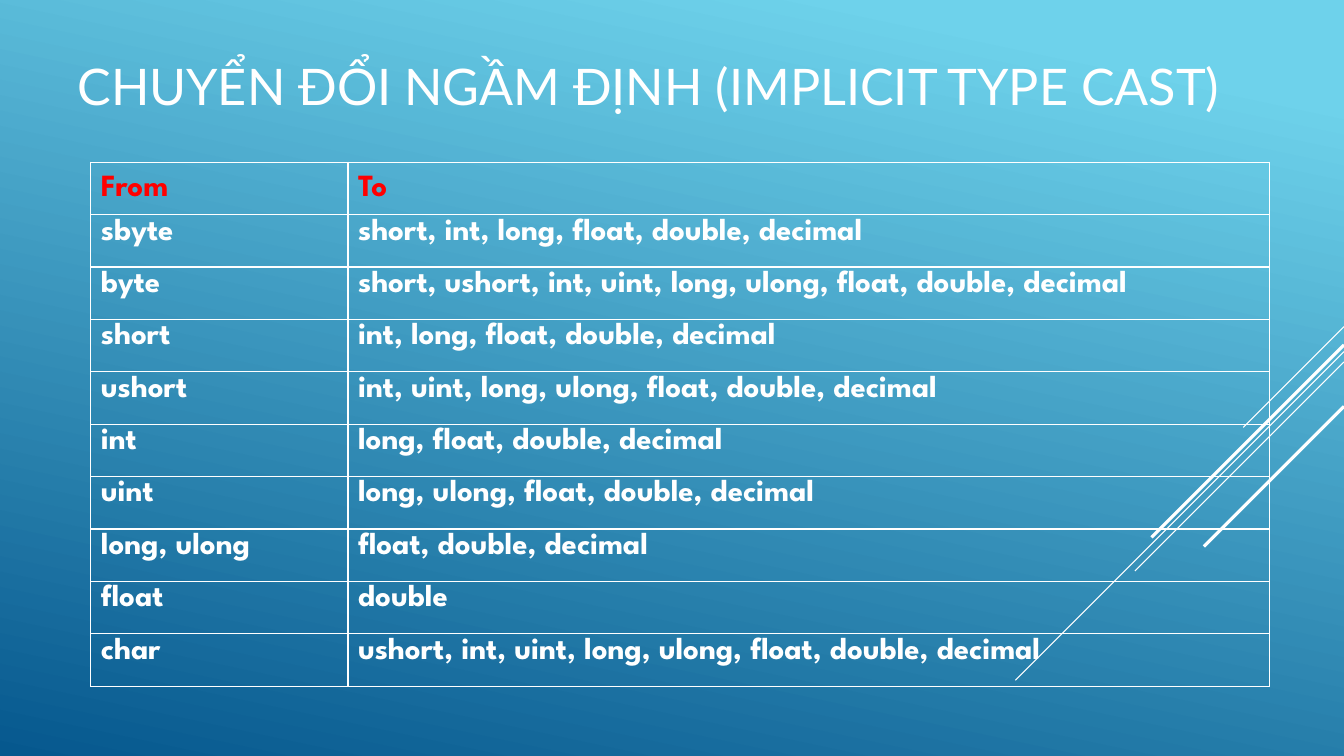
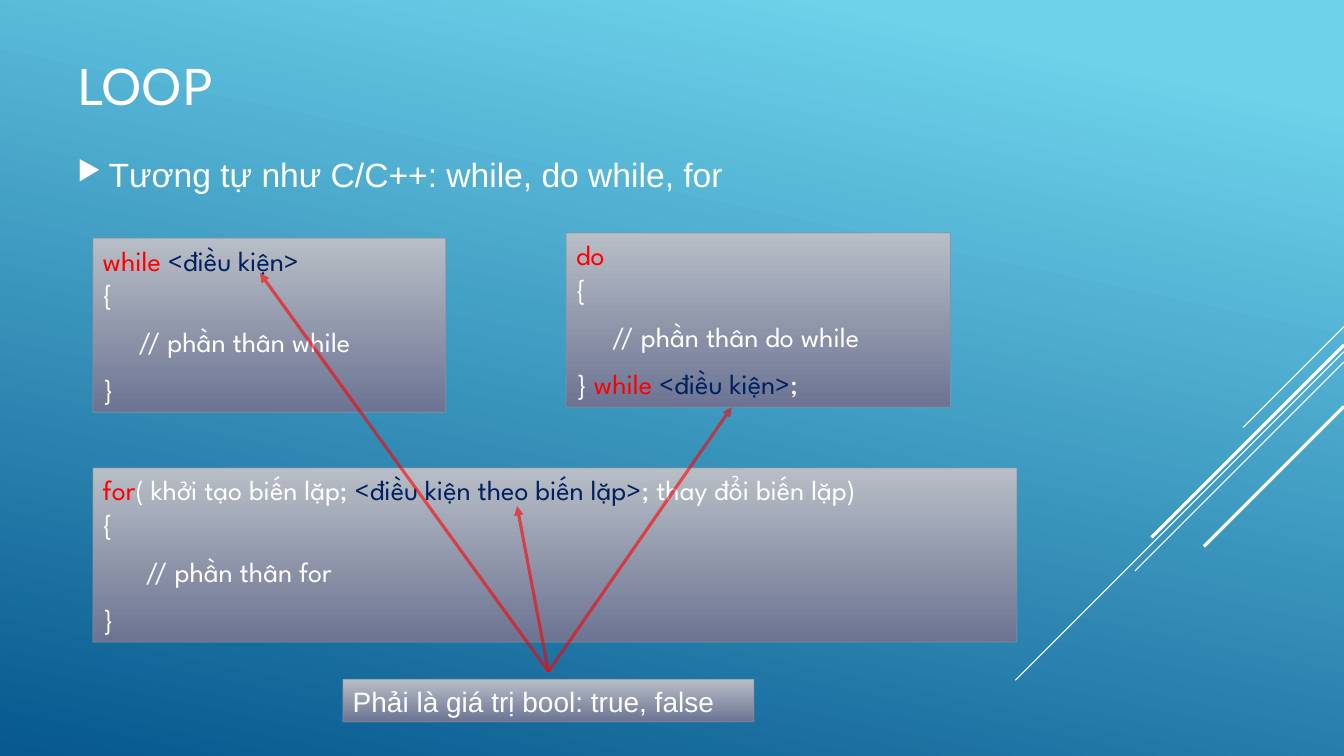
from typing import NamedTuple

from lxml.etree import SubElement
from pptx import Presentation
from pptx.dml.color import RGBColor
from pptx.enum.shapes import MSO_CONNECTOR, MSO_SHAPE
from pptx.enum.text import MSO_ANCHOR as Anchor, MSO_AUTO_SIZE as AutoSize
from pptx.oxml.ns import qn
from pptx.util import Cm, Pt

# Colours and fonts
SKY = RGBColor(0x6E, 0xD2, 0xEB)
DEEP_BLUE = RGBColor(0x06, 0x58, 0x8E)
WHITE = RGBColor(0xFF, 0xFF, 0xFF)
RED = RGBColor(0xFF, 0x00, 0x00)
NAVY = RGBColor(0x00, 0x20, 0x60)
BOX_TOP = RGBColor(0xB8, 0xBE, 0xC6)
BOX_BOTTOM = RGBColor(0x6C, 0x74, 0x93)
BOX_EDGE = RGBColor(0x89, 0x91, 0x9C)
TITLE_FONT, TEXT_FONT, CODE_FONT = "Lato", "Arial", "League Spartan"

PAGE_WIDTH, PAGE_HEIGHT = 33.87, 19.05
BREAK = "\n"


class Streak(NamedTuple):
    """A diagonal from the right edge, falling to the left at 45 degrees."""
    top: float
    reach: float
    weight: float


class Span(NamedTuple):
    text: str
    color: RGBColor = WHITE


class Line(NamedTuple):
    spans: list[Span]
    indent: float = 0


class Panel(NamedTuple):
    left: float
    top: float
    width: float
    height: float
    lines: list[Line]
    font: str = CODE_FONT


STREAKS = [
    Streak(8.23, 2.54, 0.75),
    Streak(8.86, 8.28, 0.75),
    Streak(9.12, 5.27, 0.75),
    Streak(8.69, 4.85, 2.25),
    Streak(10.24, 3.53, 2.25),
]

CASTS = [
    ("From", "To"),
    ("sbyte", "short, int, long, float, double, decimal"),
    ("byte", "short, ushort, int, uint, long, ulong, float, double, decimal"),
    ("short", "int, long, float, double, decimal"),
    ("ushort", "int, uint, long, ulong, float, double, decimal"),
    ("int", "long, float, double, decimal"),
    ("uint", "long, ulong, float, double, decimal"),
    ("long, ulong", "float, double, decimal"),
    ("float", "double"),
    ("char", "ushort, int, uint, long, ulong, float, double, decimal"),
]
CAST_COLUMNS = (6.48, 23.22)
CAST_ROW = 1.32

CLOSE = Line([Span("}")])
PANELS = [
    Panel(2.34, 6, 8.89, 4.39, [
        Line([Span("while ", RED), Span("<điều kiện>", NAVY), Span(BREAK), Span("{")]),
        Line([Span("// phần thân while")], 0.9),
        CLOSE,
    ]),
    Panel(14.27, 5.87, 9.68, 4.39, [
        Line([Span("do ", RED), Span(BREAK), Span("{")]),
        Line([Span("// phần thân do while")], 0.9),
        Line([Span("} "), Span("while ", RED), Span("<điều kiện>", NAVY), Span(";")]),
    ]),
    Panel(2.34, 11.79, 23.29, 4.39, [
        Line([Span("for", RED), Span("( khởi tạo biến lặp; "),
              Span("<điều kiện theo biến lặp>", NAVY),
              Span("; thay đổi biến lặp)"), Span(BREAK), Span("{")]),
        Line([Span("// phần thân for")], 1.08),
        CLOSE,
    ]),
    Panel(8.64, 17.12, 10.36, 1.07,
          [Line([Span("Phải là giá trị bool: true, false")])], TEXT_FONT),
]
ARROW_START = (13.82, 16.92)
ARROW_TARGETS = [(6.55, 6.88), (18.44, 10.26), (13.03, 12.75)]


# Shared drawing helpers
def set_gradient(fill, first: RGBColor, last: RGBColor, clockwise: int,
                 start: float = 0) -> None:
    fill.gradient()
    fill.gradient_angle = 360 - clockwise
    for stop, color, position in zip(fill.gradient_stops, (first, last), (start, 1)):
        stop.color.rgb = color
        stop.position = position


def set_font(para, name: str, size: float, color: RGBColor = WHITE,
             bold: bool = False) -> None:
    font = para.font
    font.name, font.size, font.bold = name, Pt(size), bold
    font.color.rgb = color


def set_indent(para, left: float, first: float = 0) -> None:
    props = para._p.get_or_add_pPr()
    props.set("marL", str(Cm(left)))
    props.set("indent", str(Cm(first)))


def set_line(shape, color: RGBColor, weight: float, opacity: int = 100):
    shape.line.color.rgb = color
    shape.line.width = Pt(weight)
    outline = shape._element.spPr.find(qn("a:ln"))
    if opacity < 100:
        paint = outline.find(".//" + qn("a:srgbClr"))
        SubElement(paint, qn("a:alpha"), val=str(opacity * 1000))
    return outline


def add_line(page, start: tuple[float, float], end: tuple[float, float],
             color: RGBColor, weight: float, opacity: int = 100,
             arrow: bool = False) -> None:
    line = page.shapes.add_connector(
        MSO_CONNECTOR.STRAIGHT, *map(Cm, start), *map(Cm, end))
    outline = set_line(line, color, weight, opacity)
    if arrow:
        SubElement(outline, qn("a:tailEnd"), type="triangle")
    SubElement(line._element.spPr, qn("a:effectLst"))


def add_text(page, left: float, top: float, width: float, height: float, text: str):
    box = page.shapes.add_textbox(Cm(left), Cm(top), Cm(width), Cm(height))
    frame = box.text_frame
    frame.word_wrap = True
    frame.vertical_anchor = Anchor.MIDDLE
    para = frame.paragraphs[0]
    para.text = text
    return para


def add_page(deck, title: str):
    page = deck.slides.add_slide(deck.slide_layouts[6])
    for streak in STREAKS:
        add_line(page, (PAGE_WIDTH, streak.top),
                 (PAGE_WIDTH - streak.reach, streak.top + streak.reach),
                 WHITE, streak.weight)
    set_font(add_text(page, 1.7, 0.74, 30, 2.82, title), TITLE_FONT, 36)
    return page


# Parts of single pages
def fill_cell(cell, text: str, header: bool) -> None:
    props = cell._tc.get_or_add_tcPr()
    for side in ("lnL", "lnR", "lnT", "lnB"):
        border = SubElement(props, qn(f"a:{side}"), w=str(Pt(1)))
        paint = SubElement(border, qn("a:solidFill"))
        SubElement(paint, qn("a:srgbClr"), val=str(WHITE))
    cell.fill.background()
    cell.vertical_anchor = Anchor.MIDDLE if header else Anchor.TOP
    para = cell.text_frame.paragraphs[0]
    para.text = text
    para.line_spacing = 0.9
    set_indent(para, 1.3, -1.3)
    set_font(para, CODE_FONT, 22, RED if header else WHITE, bold=True)


def add_cast_table(page) -> None:
    table = page.shapes.add_table(
        len(CASTS), len(CAST_COLUMNS), Cm(2.29), Cm(4.09),
        Cm(sum(CAST_COLUMNS)), Cm(CAST_ROW * len(CASTS))).table
    table.first_row = table.horz_banding = False
    for column, width in zip(table.columns, CAST_COLUMNS):
        column.width = Cm(width)
    for row_index, texts in enumerate(CASTS):
        table.rows[row_index].height = Cm(CAST_ROW)
        for column_index, text in enumerate(texts):
            fill_cell(table.cell(row_index, column_index), text, row_index == 0)


def add_bullet(page, text: str) -> None:
    para = add_text(page, 1.7, 3.38, 23.7, 2, text)
    set_indent(para, 0.79, -0.79)
    props = para._p.get_or_add_pPr()
    SubElement(SubElement(props, qn("a:buClr")), qn("a:srgbClr"), val=str(WHITE))
    SubElement(props, qn("a:buSzPct"), val="80000")
    SubElement(props, qn("a:buChar"), char="▶")
    para.space_after = Pt(6)
    set_font(para, TEXT_FONT, 24)


def add_panel(page, panel: Panel) -> None:
    box = page.shapes.add_shape(
        MSO_SHAPE.RECTANGLE, Cm(panel.left), Cm(panel.top),
        Cm(panel.width), Cm(panel.height))
    box.shadow.inherit = False
    set_gradient(box.fill, BOX_TOP, BOX_BOTTOM, 90)
    set_line(box, BOX_EDGE, 0.75, opacity=60)
    frame = box.text_frame
    frame.word_wrap = True
    frame.auto_size = AutoSize.SHAPE_TO_FIT_TEXT
    frame.vertical_anchor = Anchor.TOP
    for index, line in enumerate(panel.lines):
        para = frame.add_paragraph() if index else frame.paragraphs[0]
        para.space_before = Pt(10 if index else 0)
        para._p.get_or_add_pPr().set("algn", "l")
        set_indent(para, line.indent)
        set_font(para, panel.font, 20)
        for span in line.spans:
            if span.text == BREAK:
                para.add_line_break()
                continue
            run = para.add_run()
            run.text = span.text
            run.font.color.rgb = span.color


def main() -> None:
    deck = Presentation()
    deck.slide_width, deck.slide_height = Cm(PAGE_WIDTH), Cm(PAGE_HEIGHT)
    set_gradient(deck.slide_master.background.fill, SKY, DEEP_BLUE, 102, start=0.1)

    # Implicit casts
    add_cast_table(add_page(deck, "CHUYỂN ĐỔI NGẦM ĐỊNH (IMPLICIT TYPE CAST)"))

    # Loops
    page = add_page(deck, "LOOP")
    add_bullet(page, "Tương tự như C/C++: while, do while, for")
    for panel in PANELS:
        add_panel(page, panel)
    for target in ARROW_TARGETS:
        add_line(page, ARROW_START, target, RED, 2.25, opacity=60, arrow=True)

    deck.save("out.pptx")


if __name__ == "__main__":
    main()
